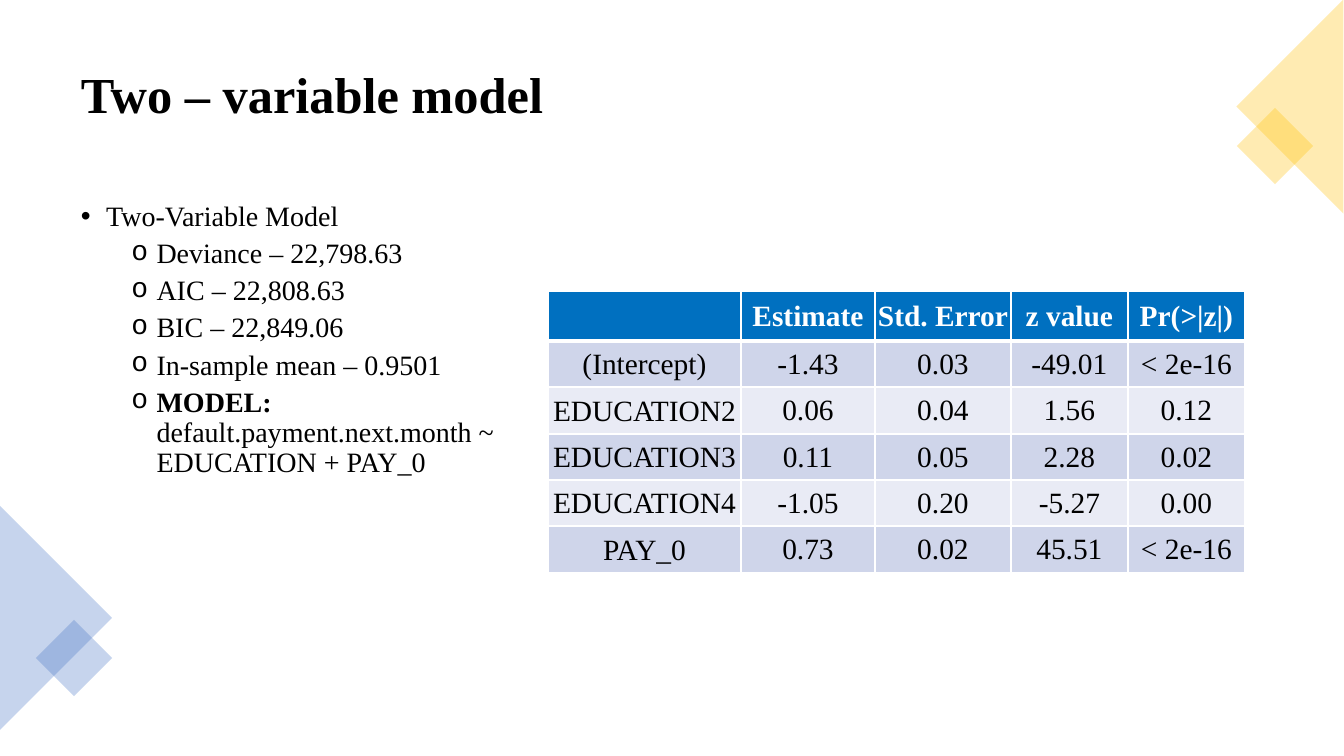
from lxml import etree
from pptx import Presentation
from pptx import util as u
from pptx.dml.color import RGBColor
from pptx.enum import shapes, text
from pptx.oxml.ns import qn

PX = 914400 / 100.8
FONT = "Times New Roman"
COLORS = {"ink": "000000", "white": "FFFFFF", "header": "0070C0",
          "odd": "CFD5EA", "even": "E9EBF5", "blue": "4472C4", "yellow": "FFC000"}


def px(*lengths):
    return [u.Emu(round(length * PX)) for length in lengths]


def write(para, words, size, color="ink", bold=False):
    span = para.add_run()
    span.text = words
    for name, value in {"name": FONT, "size": u.Pt(size), "bold": bold}.items():
        setattr(span.font, name, value)
    span.font.color.rgb = RGBColor.from_string(COLORS[color])


deck = Presentation()
deck.slide_width, deck.slide_height = px(1344, 756)
page = deck.slides.add_slide(deck.slide_layouts[6])

# Title
title = page.shapes.add_textbox(*px(71, 35, 1202, 125)).text_frame
title.word_wrap = True
title.vertical_anchor = text.MSO_ANCHOR.MIDDLE
title.paragraphs[0].line_spacing = 0.9
write(title.paragraphs[0], "Two – variable model", 36, bold=True)

# Bulleted model summary
summary = page.shapes.add_textbox(*px(71, 197, 441, 485)).text_frame
summary.word_wrap = True
lines = ["Two-Variable Model", "Deviance – 22,798.63", "AIC – 22,808.63",
         "BIC – 22,849.06", "In-sample mean – 0.9501",
         "default.payment.next.month ~ EDUCATION + PAY_0"]
for number, line in enumerate(lines):
    top_level = number == 0
    para = summary.paragraphs[0] if top_level else summary.add_paragraph()
    para.level = 0 if top_level else 1
    para.line_spacing = 0.9
    para.space_before = u.Pt(10 if top_level else 5)
    if number == len(lines) - 1:
        write(para, "MODEL: ", 20, bold=True)
        para.add_line_break()
    write(para, line, 20)
    props = para._p.get_or_add_pPr()
    props.set("marL", str(u.Inches(0.25 if top_level else 0.75)))
    props.set("indent", str(u.Inches(-0.25)))
    bullet_font, bullet = ("Arial", "•") if top_level else ("Courier New", "o")
    etree.SubElement(props, qn("a:buFont"), typeface=bullet_font)
    etree.SubElement(props, qn("a:buChar"), char=bullet)

# Corner ornaments
TRIANGLE = shapes.MSO_SHAPE.ISOSCELES_TRIANGLE
SQUARE = shapes.MSO_SHAPE.RECTANGLE
for kind, place, angle, color in [
        (TRIANGLE, (-56, 562, 224, 112), 90, "blue"),
        (SQUARE, (47, 631, 54, 54), 45, "blue"),
        (SQUARE, (1248, 119, 54, 54), 45, "yellow"),
        (TRIANGLE, (1183, 53, 214, 107), 270, "yellow")]:
    ornament = page.shapes.add_shape(kind, *px(*place))
    ornament.rotation = angle
    ornament.shadow.inherit = False
    ornament.line.fill.background()
    ornament.fill.solid()
    ornament.fill.fore_color.rgb = RGBColor.from_string(COLORS[color])
    tint = ornament._element.spPr.find(".//" + qn("a:srgbClr"))
    etree.SubElement(tint, qn("a:alpha"), val="30000")

# Coefficient table
rows = [["", "Estimate", "Std. Error", "z value", "Pr(>|z|)"],
        ["(Intercept)", "-1.43", "0.03", "-49.01", "< 2e-16"],
        ["EDUCATION2", "0.06", "0.04", "1.56", "0.12"],
        ["EDUCATION3", "0.11", "0.05", "2.28", "0.02"],
        ["EDUCATION4", "-1.05", "0.20", "-5.27", "0.00"],
        ["PAY_0", "0.73", "0.02", "45.51", "< 2e-16"]]
widths = px(193, 134, 136, 117, 117)
heights = px(50, 46, 47, 46, 46, 47)
table = page.shapes.add_table(len(rows), len(widths), *px(548, 291, 697, 282)).table
for column, width in zip(table.columns, widths):
    column.width = width
for r, (row, height) in enumerate(zip(rows, heights)):
    table.rows[r].height = height
    header = r == 0
    fill = "header" if header else "odd" if r % 2 else "even"
    for c, words in enumerate(row):
        cell = table.cell(r, c)
        inset = px(2 if header or c == 0 else 1)[0]
        for name, value in {"margin_left": inset, "margin_right": inset,
                            "margin_top": inset, "margin_bottom": 0,
                            "vertical_anchor": text.MSO_ANCHOR.MIDDLE}.items():
            setattr(cell, name, value)
        props = cell._tc.get_or_add_tcPr()
        for side in ("L", "R", "T", "B"):
            thick = (r, side) in [(0, "B"), (1, "T")]
            border = etree.SubElement(props, qn("a:ln" + side), w=str(u.Pt(3 if thick else 1)))
            paint = etree.SubElement(border, qn("a:solidFill"))
            etree.SubElement(paint, qn("a:srgbClr"), val=COLORS["white"])
        cell.fill.solid()
        cell.fill.fore_color.rgb = RGBColor.from_string(COLORS[fill])
        para = cell.text_frame.paragraphs[0]
        para.alignment = text.PP_ALIGN.CENTER
        if words:
            write(para, words, 21, "white" if header else "ink", header)

deck.save("out.pptx")
